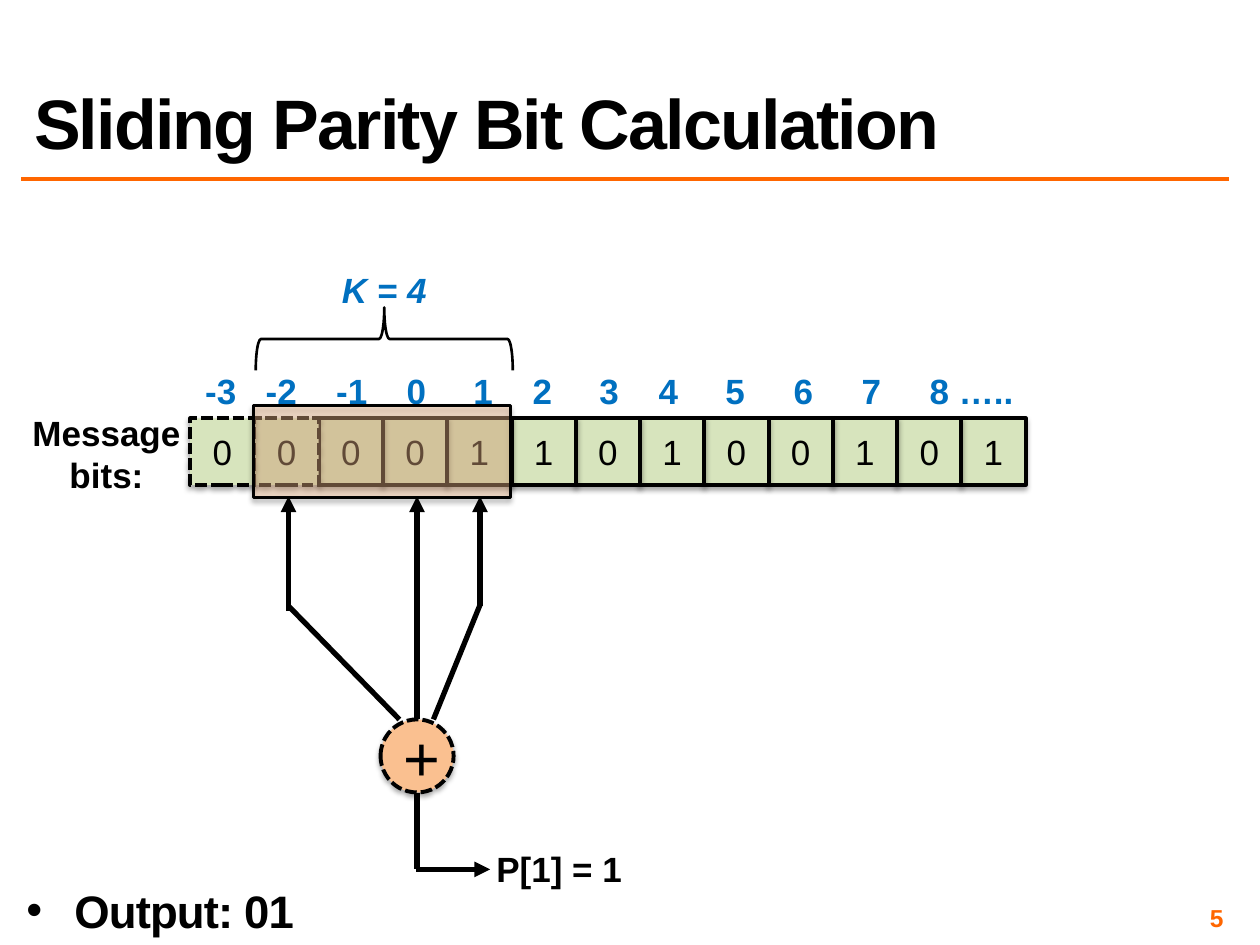
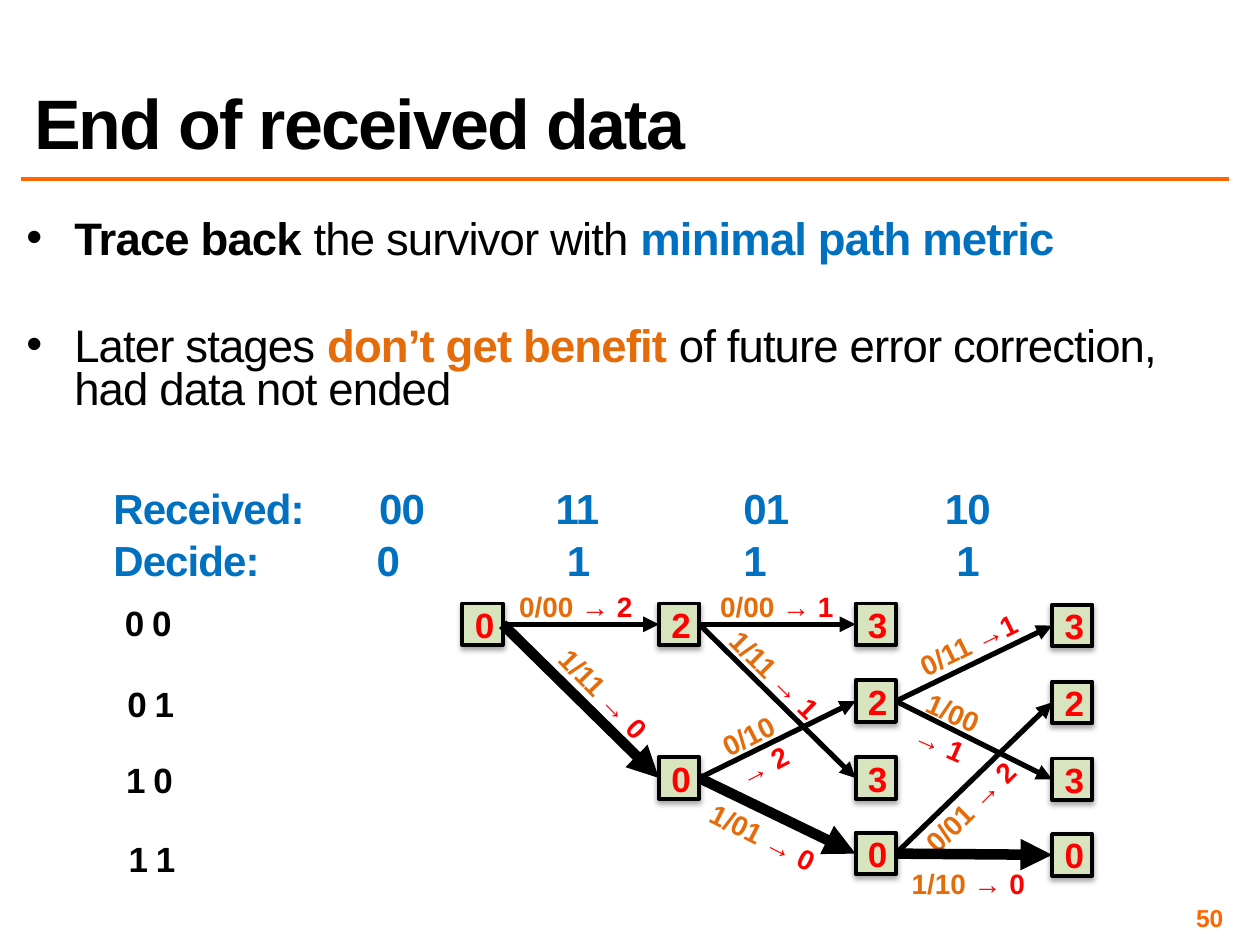
from lxml.etree import SubElement
from pptx import Presentation
from pptx.dml.color import RGBColor
from pptx.enum.dml import MSO_LINE
from pptx.enum.shapes import MSO_CONNECTOR, MSO_SHAPE
from pptx.enum.text import MSO_ANCHOR as ANCHOR, PP_ALIGN as ALIGN
from pptx.oxml.ns import qn
from pptx.util import Pt

PX = 9144
FONT = "Arial"
COLORS = {
    "ink": "000000", "rule": "FF6600", "blue": "0070C0", "red": "FF0000",
    "orange": "E46C0A", "bit": "D7E4BD", "peach": "FAC090",
}

PARITY = {
    "title": "Sliding Parity Bit Calculation",
    "number": "5",
    "bits": "0000110100101",
    "padding": 2,
    "indices": ["-3", "-2", "-1", "0", "1", "2", "3", "4", "5", "6", "7", "8 ….."],
    "index_tabs": [48, 104, 160, 213, 260, 313, 360, 413, 467, 521, 575],
    "window": "K = 4",
    "row_label": ["Message", "bits:"],
    "parity": "P[1] = 1",
    "output": "Output: 01",
}
FIRST_BIT = (151, 332, 51, 53)
WIRES = [
    ((229, 485), (229, 394), True),
    ((317, 571), (229, 481), False),
    ((331, 571), (331, 394), True),
    ((381, 481), (381, 394), True),
    ((344, 571), (381, 480), False),
    ((331, 629), (331, 690), False),
    ((330, 690), (389, 690), True),
]

TRACEBACK = {
    "title": "End of received data",
    "number": "50",
    "points": [
        [("Trace back ", {"bold": True}), "the survivor with ",
         ("minimal path metric", {"bold": True, "color": "blue"})],
        ["Later stages ", ("don’t get benefit", {"bold": True, "color": "orange"}),
         " of future error correction, had data not ended"],
    ],
    "sequences": [
        ("Received:", ["00", "11", "01", "10"], (86, 379, 780, 58), [211, 351, 500, 660]),
        ("Decide:", ["0", "1", "1", "1"], (86, 420, 837, 58), [209, 360, 500, 669]),
    ],
    "states": [("0 0", 95, 473), ("0 1", 97, 538), ("1 0", 96, 598), ("1 1", 98, 661)],
}
NODE_SIZE = (32, 33)
STAGE_LEFT, STAGE_STEP = 367, 156
STATE_TOPS = [479, 540, 601, 661]
METRICS = [{0: "0"}, {0: "2", 2: "0"},
           {0: "3", 1: "2", 2: "3", 3: "0"}, {0: "3", 1: "2", 2: "3", 3: "0"}]
THIN, SURVIVOR = 3, 6
BRANCHES = [
    (0, 0, 0, THIN, "0/00 ", "→ 2", (394, 463, 126, 37), 0),
    (0, 0, 2, SURVIVOR, "1/11 ", "→ 0", (401, 532, 156, 37), 45.7),
    (1, 0, 0, THIN, "0/00 ", "→ 1", (555, 463, 123, 37), 0),
    (1, 0, 2, THIN, "1/11 ", "→ 1", (550, 517, 130, 37), 44.6),
    (1, 2, 1, THIN, "0/10 ", "→ 2", (566, 564, 68, 64), 332.8),
    (1, 2, 3, SURVIVOR, "1/01 ", "→ 0", (533, 646, 145, 37), 26.8),
    (2, 1, 0, THIN, "0/11 ", "→1", (712, 493, 113, 37), 333.9),
    (2, 1, 2, THIN, "1/00 ", "→ 1", (714, 546, 74, 64), 23.6),
    (2, 3, 1, THIN, "0/01 ", "→ 2", (704, 622, 132, 37), 315.3),
    (2, 3, 3, SURVIVOR, "1/10 ", "→ 0", (700, 683, 137, 37), 0),
]


def emu(lengths):
    return [length * PX for length in lengths]


def rgb(name):
    return RGBColor.from_string(COLORS[name])


def write(frame, paragraphs, size=20, color="ink", bold=False, italic=False,
          align=ALIGN.LEFT, anchor=ANCHOR.TOP, inset=None, wrap=True,
          tracking=0, leading=None, before=0, bullet=False, tabs=()):
    frame.word_wrap = wrap
    frame.vertical_anchor = anchor
    if inset is not None:
        frame.margin_left = frame.margin_right = inset * PX
        frame.margin_top = frame.margin_bottom = inset * PX
    if isinstance(paragraphs, str):
        paragraphs = [[paragraphs]]
    for order, pieces in enumerate(paragraphs):
        paragraph = frame.add_paragraph() if order else frame.paragraphs[0]
        paragraph.alignment = align
        if leading:
            paragraph.line_spacing = leading
        if order and before:
            paragraph.space_before = Pt(before)
        properties = paragraph._p.get_or_add_pPr()
        if bullet:
            properties.set("marL", str(38 * PX))
            properties.set("indent", str(-38 * PX))
            SubElement(properties, qn("a:buFont"), typeface=FONT)
            SubElement(properties, qn("a:buChar"), char="•")
        if tabs:
            stops = SubElement(properties, qn("a:tabLst"))
            for stop in tabs:
                SubElement(stops, qn("a:tab"), pos=str(stop * PX), algn="l")
        for piece in pieces:
            words, own = (piece, {}) if isinstance(piece, str) else piece
            run = paragraph.add_run()
            run.text = words
            run.font.name = FONT
            run.font.size = Pt(size)
            run.font.bold = own.get("bold", bold)
            run.font.italic = italic
            run.font.color.rgb = rgb(own.get("color", color))
            if tracking:
                run._r.get_or_add_rPr().set("spc", str(int(tracking * 100)))


def add_text(slide, box, paragraphs, rotation=0, **style):
    label = slide.shapes.add_textbox(*emu(box))
    label.rotation = rotation
    write(label.text_frame, paragraphs, **style)


def add_box(slide, kind, box, fill=None, weight=2.25, dashed=False, alpha=None,
            shadow=True, text=None, **style):
    shape = slide.shapes.add_shape(kind, *emu(box))
    shape.shadow.inherit = False
    if shadow:
        effects = shape._element.spPr.find(qn("a:effectLst"))
        outer = SubElement(effects, qn("a:outerShdw"), blurRad=str(Pt(3.1)),
                           dist=str(Pt(1.8)), dir="5400000", rotWithShape="0")
        shade = SubElement(outer, qn("a:srgbClr"), val=COLORS["ink"])
        SubElement(shade, qn("a:alpha"), val="35000")
    if fill:
        shape.fill.solid()
        shape.fill.fore_color.rgb = rgb(fill)
    else:
        shape.fill.background()
    if alpha:
        tint = shape._element.spPr.find(qn("a:solidFill"))[0]
        SubElement(tint, qn("a:alpha"), val=str(alpha * 1000))
    shape.line.color.rgb = rgb("ink")
    shape.line.width = Pt(weight)
    if dashed:
        shape.line.dash_style = MSO_LINE.SQUARE_DOT
        shape.line._ln.find(qn("a:prstDash")).set("val", "sysDash")
    if text:
        write(shape.text_frame, text, align=ALIGN.CENTER, anchor=ANCHOR.MIDDLE, **style)
    return shape


def add_line(slide, start=(0, 0), end=(0, 0), color="ink", weight=3, arrow=False):
    line = slide.shapes.add_connector(MSO_CONNECTOR.STRAIGHT, *emu(start + end))
    line.line.color.rgb = rgb(color)
    line.line.width = Pt(weight)
    if arrow:
        SubElement(line.line._ln, qn("a:tailEnd"), type="triangle")
    SubElement(line._element.spPr, qn("a:effectLst"))
    return line


def add_slide(deck, content):
    slide = deck.slides.add_slide(deck.slide_layouts[5])
    add_line(slide, (17, 142), (975, 142), "rule", 2)
    title = slide.shapes.title
    title.left, title.top, title.width, title.height = emu((17, 17, 958, 117))
    write(title.text_frame, content["title"], size=40, bold=True,
          anchor=ANCHOR.BOTTOM, tracking=-1, leading=0.8)
    add_text(slide, (742, 717, 233, 23), content["number"], size=14, color="rule",
             bold=True, align=ALIGN.RIGHT, anchor=ANCHOR.MIDDLE, inset=4)
    return slide


def add_points(slide, box, points, **style):
    add_text(slide, box, points, size=26, inset=4, tracking=-0.5, leading=0.8,
             before=36, bullet=True, **style)


def build_parity(deck):
    slide = add_slide(deck, PARITY)
    left, top, width, height = FIRST_BIT
    for place, bit in reversed(list(enumerate(PARITY["bits"]))):
        add_box(slide, MSO_SHAPE.RECTANGLE, (left + place * width, top, width, height),
                "bit", dashed=place < PARITY["padding"], text=bit)
    brace = add_box(slide, MSO_SHAPE.RIGHT_BRACE, (280, 167, 50, 204), weight=1.5, shadow=False)
    brace.rotation = 270
    add_text(slide, (261, 208, 88, 44), PARITY["window"], color="blue", bold=True,
             italic=True, align=ALIGN.CENTER, wrap=False)
    add_text(slide, (153, 288, 667, 44), "\t".join(PARITY["indices"]), color="blue",
             bold=True, tabs=PARITY["index_tabs"])
    add_box(slide, MSO_SHAPE.RECTANGLE, (201, 322, 204, 73), "peach", weight=1.5, alpha=39)
    for start, end, arrow in WIRES:
        add_line(slide, start, end, arrow=arrow)
    add_box(slide, MSO_SHAPE.OVAL, (302, 571, 58, 58), "peach", dashed=True, text="+", size=36)
    add_text(slide, (384, 668, 175, 44), PARITY["parity"], bold=True)
    add_points(slide, (17, 705, 846, 43), PARITY["output"], bold=True)
    add_text(slide, (15, 322, 139, 77), [[line] for line in PARITY["row_label"]],
             bold=True, align=ALIGN.CENTER, wrap=False)


def build_traceback(deck):
    slide = add_slide(deck, TRACEBACK)
    add_points(slide, (17, 171, 958, 167), TRACEBACK["points"])
    for name, symbols, box, tabs in TRACEBACK["sequences"]:
        add_text(slide, box, "\t".join([name, *symbols]), size=24, color="blue",
                 bold=True, inset=4, tracking=-0.5, tabs=tabs)
    for state, left, top in TRACEBACK["states"]:
        add_text(slide, (left, top, 59, 58), state, bold=True, inset=4, tracking=-0.5)
    nodes = {}
    for stage, metrics in enumerate(METRICS):
        for state, metric in metrics.items():
            corner = (STAGE_LEFT + stage * STAGE_STEP, STATE_TOPS[state] + stage // 3)
            nodes[stage, state] = add_box(slide, MSO_SHAPE.RECTANGLE, corner + NODE_SIZE,
                                          "bit", text=metric, color="red", bold=True)
    for stage, source, target, weight, code, distance, box, rotation in BRANCHES:
        branch = add_line(slide, weight=weight, arrow=True)
        branch.begin_connect(nodes[stage, source], 3)
        branch.end_connect(nodes[stage + 1, target], 1)
        add_text(slide, box, [[code, (distance, {"color": "red"})]], rotation,
                 size=16, color="orange", bold=True, align=ALIGN.CENTER)


def main():
    deck = Presentation()
    deck.slide_width, deck.slide_height = emu((1000, 750))
    build_parity(deck)
    build_traceback(deck)
    deck.save("out.pptx")


if __name__ == "__main__":
    main()
